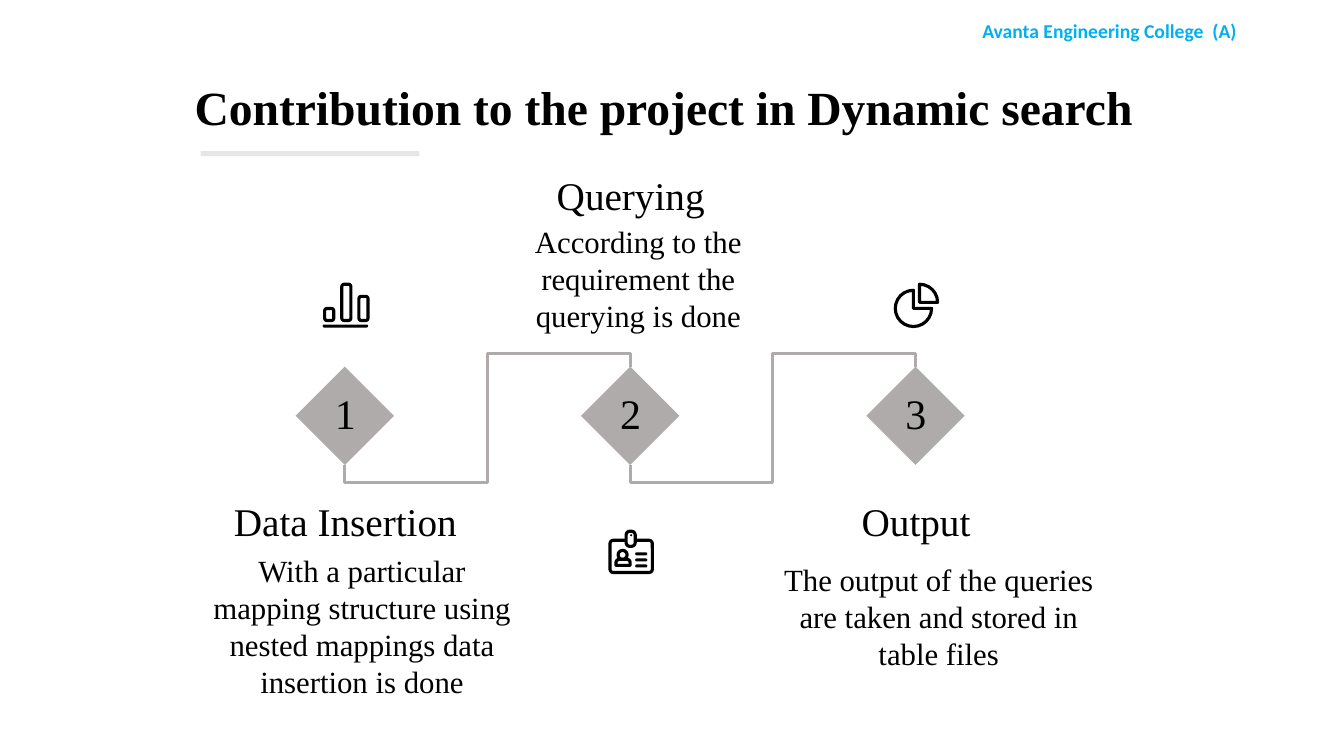
from lxml import etree
from pptx import Presentation
from pptx import util as u
from pptx.dml import color
from pptx.enum import shapes, text
from pptx.oxml import ns

SERIF = "Times New Roman"
BLACK = "000000"
GREY = "AFABAB"
SHAPE = shapes.MSO_SHAPE
DIAMOND_SIDE = 0.69
DIAMOND_RADIUS = DIAMOND_SIDE / 2 ** 0.5
STEP_TOP = 3.78
STEP_MIDDLE = STEP_TOP + DIAMOND_SIDE / 2
STEP_CENTERS = [3.42 + 2.83 * index for index in range(3)]


def rgb(value):
    return color.RGBColor.from_string(value)


def place(shape, left, top, width, height):
    shape.left, shape.top = u.Inches(left), u.Inches(top)
    shape.width, shape.height = u.Inches(width), u.Inches(height)


def write(shape, wording, size, font=SERIF, fill=BLACK, bold=False, spacing=1.0,
          align=text.PP_ALIGN.CENTER, anchor=text.MSO_ANCHOR.MIDDLE, inset=0.1):
    frame = shape.text_frame
    frame.word_wrap = True
    frame.auto_size = text.MSO_AUTO_SIZE.NONE
    frame.vertical_anchor = anchor
    frame.margin_left = frame.margin_right = u.Inches(0.1)
    frame.margin_top = frame.margin_bottom = u.Inches(inset)
    paragraph = frame.paragraphs[0]
    paragraph.alignment = align
    paragraph.line_spacing = spacing
    run = paragraph.add_run()
    run.text = wording
    run.font.name = font
    run.font.size = u.Pt(size)
    run.font.bold = bold
    run.font.color.rgb = rgb(fill)


def add_text(slide, box, wording, size, **formatting):
    shape = slide.shapes.add_textbox(*map(u.Inches, box))
    write(shape, wording, size, **formatting)


def add_block(slide, kind, box, fill=None, outline=None, adjustments=()):
    shape = slide.shapes.add_shape(kind, *map(u.Inches, box))
    shape.shadow.inherit = False
    if fill:
        shape.fill.solid()
        shape.fill.fore_color.rgb = rgb(fill)
    else:
        shape.fill.background()
    if outline:
        shape.line.color.rgb = rgb(outline)
        shape.line.width = u.Pt(2.25)
    else:
        shape.line.fill.background()
    for index, value in enumerate(adjustments):
        shape.adjustments[index] = value
    return shape


def add_header(slide, left, top, width):
    add_text(slide, (left, top, width, 0.34), "Avanta Engineering College  (A)", 14,
             font="Calibri", fill="00B0F0", bold=True,
             anchor=text.MSO_ANCHOR.TOP, inset=0.05)


def add_title(slide, left, top, width):
    title = slide.shapes.title
    place(title, left, top, width, 0.59)
    write(title, "Contribution to the project in Dynamic search", 34, bold=True,
          spacing=0.9, align=text.PP_ALIGN.LEFT)
    add_block(slide, SHAPE.RECTANGLE, (left + 0.16, top + 0.7, 2.17, 0.05), "E7E6E6")


def add_step(slide, center, number, heading, heading_top, body, body_box):
    diamond = add_block(slide, SHAPE.RECTANGLE,
                        (center - DIAMOND_SIDE / 2, STEP_TOP, DIAMOND_SIDE, DIAMOND_SIDE), GREY)
    diamond.rotation = 45
    add_text(slide, (center - 0.32, STEP_TOP + 0.06, 0.65, 0.57), str(number), 30, spacing=0.9)
    add_text(slide, (center - 1.24, heading_top, 2.49, 0.65), heading, 28, spacing=0.9)
    add_text(slide, body_box, body, 22)


def add_bend(slide, left, right):
    top, bottom = STEP_MIDDLE - DIAMOND_RADIUS, STEP_MIDDLE + DIAMOND_RADIUS
    drop, span = bottom - top, right - left
    middle = (left + right) / 2
    corners = (middle - drop / 2, STEP_MIDDLE - span / 2,
               middle + drop / 2, STEP_MIDDLE + span / 2)
    connector = slide.shapes.add_connector(shapes.MSO_CONNECTOR.ELBOW, *map(u.Inches, corners))
    connector.line.color.rgb = rgb(GREY)
    connector.line.width = u.Pt(2.25)
    properties = connector._element.spPr
    properties.find(ns.qn("a:xfrm")).set("rot", "5400000")
    geometry = properties.find(ns.qn("a:prstGeom"))
    geometry.set("prst", "bentConnector5")
    guides = geometry.find(ns.qn("a:avLst"))
    if guides is None:
        guides = etree.SubElement(geometry, ns.qn("a:avLst"))
    ratios = ((3.51 - top) / drop, 0.5, (4.79 - top) / drop)
    for index, ratio in enumerate(ratios, 1):
        etree.SubElement(guides, ns.qn("a:gd"), name=f"adj{index}",
                         fmla=f"val {round(ratio * 100000)}")
    etree.SubElement(properties, ns.qn("a:effectLst"))


def add_bar_icon(slide, left, top):
    for index, height in enumerate((0.12, 0.36, 0.24)):
        add_block(slide, SHAPE.ROUNDED_RECTANGLE,
                  (left + 0.02 + 0.17 * index, top + 0.38 - height, 0.09, height),
                  outline=BLACK, adjustments=[0.25])
    add_block(slide, SHAPE.ROUNDED_RECTANGLE, (left, top + 0.42, 0.45, 0.03), BLACK,
              adjustments=[0.5])


def add_pie_icon(slide, left, top):
    add_block(slide, SHAPE.PIE, (left + 0.02, top + 0.08, 0.36, 0.36), outline=BLACK)
    add_block(slide, SHAPE.PIE, (left + 0.08, top + 0.02, 0.36, 0.36), outline=BLACK,
              adjustments=[162, 0])


def add_badge_icon(slide, left, top):
    add_block(slide, SHAPE.ROUNDED_RECTANGLE, (left + 0.02, top + 0.11, 0.42, 0.32),
              outline=BLACK, adjustments=[0.1])
    add_block(slide, SHAPE.ROUNDED_RECTANGLE, (left + 0.18, top + 0.02, 0.09, 0.15),
              "FFFFFF", BLACK, [0.4])
    add_block(slide, SHAPE.OVAL, (left + 0.22, top + 0.05, 0.02, 0.02), BLACK)
    add_block(slide, SHAPE.OVAL, (left + 0.1, top + 0.21, 0.09, 0.09), outline=BLACK)
    add_block(slide, SHAPE.ROUND_2_SAME_RECTANGLE, (left + 0.08, top + 0.3, 0.14, 0.06),
              outline=BLACK, adjustments=[0.5])
    for index in range(3):
        add_block(slide, SHAPE.ROUNDED_RECTANGLE,
                  (left + 0.27, top + 0.23 + 0.06 * index, 0.12, 0.03), BLACK,
                  adjustments=[0.5])


def main():
    presentation = Presentation()
    presentation.slide_width = u.Inches(13.33)
    presentation.slide_height = u.Inches(7.5)
    slide = presentation.slides.add_slide(presentation.slide_layouts[5])
    add_header(slide, 9.09, 0.14, 3.83)
    add_title(slide, 1.83, 0.8, 10.36)
    steps = [
        ("Data Insertion", 4.87,
         "With a particular mapping structure using nested mappings data insertion is done",
         (1.99, 5.58, 3.2, 1.26)),
        ("Querying", 1.64, "According to the requirement the querying is done",
         (4.77, 2.13, 3.12, 1.26)),
        ("Output", 4.87, "The output of the queries are taken and stored in table files",
         (7.55, 5.48, 3.52, 1.27)),
    ]
    for number, (center, step) in enumerate(zip(STEP_CENTERS, steps), 1):
        add_step(slide, center, number, *step)
    for left, right in zip(STEP_CENTERS, STEP_CENTERS[1:]):
        add_bend(slide, left, right)
    icons = ((add_bar_icon, 2.8), (add_badge_icon, 5.25), (add_pie_icon, 2.8))
    for center, (add_icon, top) in zip(STEP_CENTERS, icons):
        add_icon(slide, center - 0.22, top)
    presentation.save("out.pptx")


if __name__ == "__main__":
    main()
